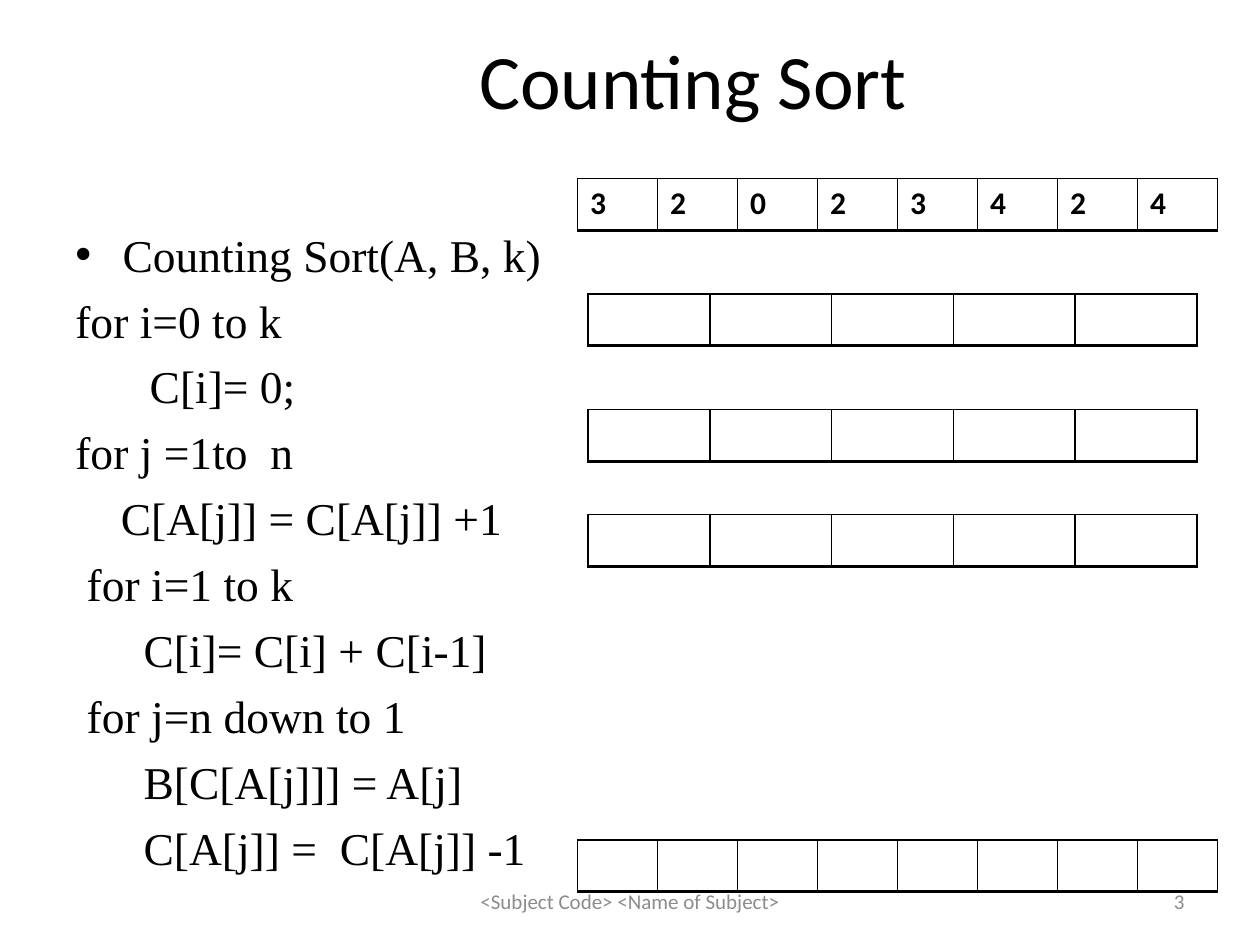
from dataclasses import dataclass

from lxml.etree import SubElement
from pptx import Presentation
from pptx.dml.color import RGBColor
from pptx.enum.text import MSO_ANCHOR as Anchor, PP_ALIGN as Align
from pptx.oxml.ns import qn
from pptx.util import Pt


@dataclass(frozen=True)
class Theme:
    ink: str = "000000"
    muted: str = "8C8C8C"
    sans: str = "Calibri"
    serif: str = "Times New Roman"
    title: float = 44
    body: float = 26
    cell: float = 18
    footer: float = 12


THEME = Theme()
BULLET_INDENT = 27
# Left indent in points and text of each line of the algorithm.
CODE = [
    (0, "for i=0 to k"),
    (42.5, "C[i]= 0;"),
    (0, "for j =1to  n"),
    (26, "C[A[j]] = C[A[j]] +1"),
    (6.5, "for i=1 to k"),
    (39, "C[i]= C[i] + C[i-1]"),
    (6.5, "for j=n down to 1"),
    (39, "B[C[A[j]]] = A[j]"),
    (39, "C[A[j]] =  C[A[j]] -1"),
]
INPUT_ARRAY = ["3", "2", "0", "2", "3", "4", "2", "4"]
EMPTY_OUTPUT = [""] * 8
EMPTY_COUNTS = [""] * 5
ROW_HEIGHT = 29.5
# Left, top, width in points and values of each array.
ARRAYS = [
    (330, 102, 366, INPUT_ARRAY),
    (330, 480, 366, EMPTY_OUTPUT),
    (336, 168, 348, EMPTY_COUNTS),
    (336, 234, 348, EMPTY_COUNTS),
    (336, 294, 348, EMPTY_COUNTS),
]
BORDERS = {"lnL": 1, "lnR": 1, "lnT": 1, "lnB": 2}


def set_attributes(target, values):
    for name, value in values.items():
        setattr(target, name, value)


def write(paragraph, text, size, font=THEME.sans, color=THEME.ink, bold=False):
    run = paragraph.add_run()
    run.text = text
    set_attributes(run.font, {"size": Pt(size), "name": font, "bold": bold})
    run.font.color.rgb = RGBColor.from_string(color)


def add_title(slide, text):
    title = slide.shapes.title
    set_attributes(title, {"left": Pt(72), "top": Pt(0),
                           "width": Pt(648), "height": Pt(90)})
    title.text_frame.vertical_anchor = Anchor.MIDDLE
    paragraph = title.text_frame.paragraphs[0]
    paragraph.alignment = Align.CENTER
    write(paragraph, text, THEME.title)


def add_text_frame(slide, left, top, width, height, anchor=Anchor.TOP):
    box = slide.shapes.add_textbox(Pt(left), Pt(top), Pt(width), Pt(height))
    set_attributes(box.text_frame, {"word_wrap": True, "vertical_anchor": anchor})
    return box.text_frame


def add_algorithm(slide, heading, lines):
    frame = add_text_frame(slide, 36, 126, 648, 396)
    first = frame.paragraphs[0]
    write(first, heading, THEME.body, THEME.serif)
    properties = first._p.get_or_add_pPr()
    properties.set("marL", str(Pt(BULLET_INDENT)))
    properties.set("indent", str(-Pt(BULLET_INDENT)))
    SubElement(properties, qn("a:buFont"), typeface="Arial")
    SubElement(properties, qn("a:buChar"), char="•")
    for indent, text in lines:
        paragraph = frame.add_paragraph()
        paragraph._p.get_or_add_pPr().set("marL", str(Pt(indent)))
        write(paragraph, text, THEME.body, THEME.serif)
    for paragraph in frame.paragraphs:
        paragraph.space_before = Pt(6.5)


def add_footer(slide, left, width, text, alignment):
    frame = add_text_frame(slide, left, 500.5, width, 28.75, Anchor.MIDDLE)
    paragraph = frame.paragraphs[0]
    paragraph.alignment = alignment
    write(paragraph, text, THEME.footer, color=THEME.muted)


def draw_borders(cell):
    properties = cell._tc.get_or_add_tcPr()
    for side, width in BORDERS.items():
        line = SubElement(properties, qn(f"a:{side}"), w=str(Pt(width)))
        fill = SubElement(line, qn("a:solidFill"))
        SubElement(fill, qn("a:srgbClr"), val=THEME.ink)


def add_array(slide, left, top, width, values):
    """Add a one-row table with a cell for each value."""
    table = slide.shapes.add_table(1, len(values), Pt(left), Pt(top),
                                   Pt(width), Pt(ROW_HEIGHT)).table
    set_attributes(table, {"first_row": False, "horz_banding": False})
    for cell, value in zip(table.iter_cells(), values):
        draw_borders(cell)
        cell.fill.background()
        if value:
            write(cell.text_frame.paragraphs[0], value, THEME.cell, bold=True)


def main():
    presentation = Presentation()
    set_attributes(presentation, {"slide_width": Pt(720), "slide_height": Pt(540)})
    slide = presentation.slides.add_slide(presentation.slide_layouts[5])
    add_title(slide, "Counting Sort")
    add_algorithm(slide, "Counting Sort(A, B, k)", CODE)
    add_footer(slide, 246, 228, "<Subject Code> <Name of Subject>", Align.CENTER)
    add_footer(slide, 516, 168, "3", Align.RIGHT)
    for left, top, width, values in ARRAYS:
        add_array(slide, left, top, width, values)
    presentation.save("out.pptx")


if __name__ == "__main__":
    main()
